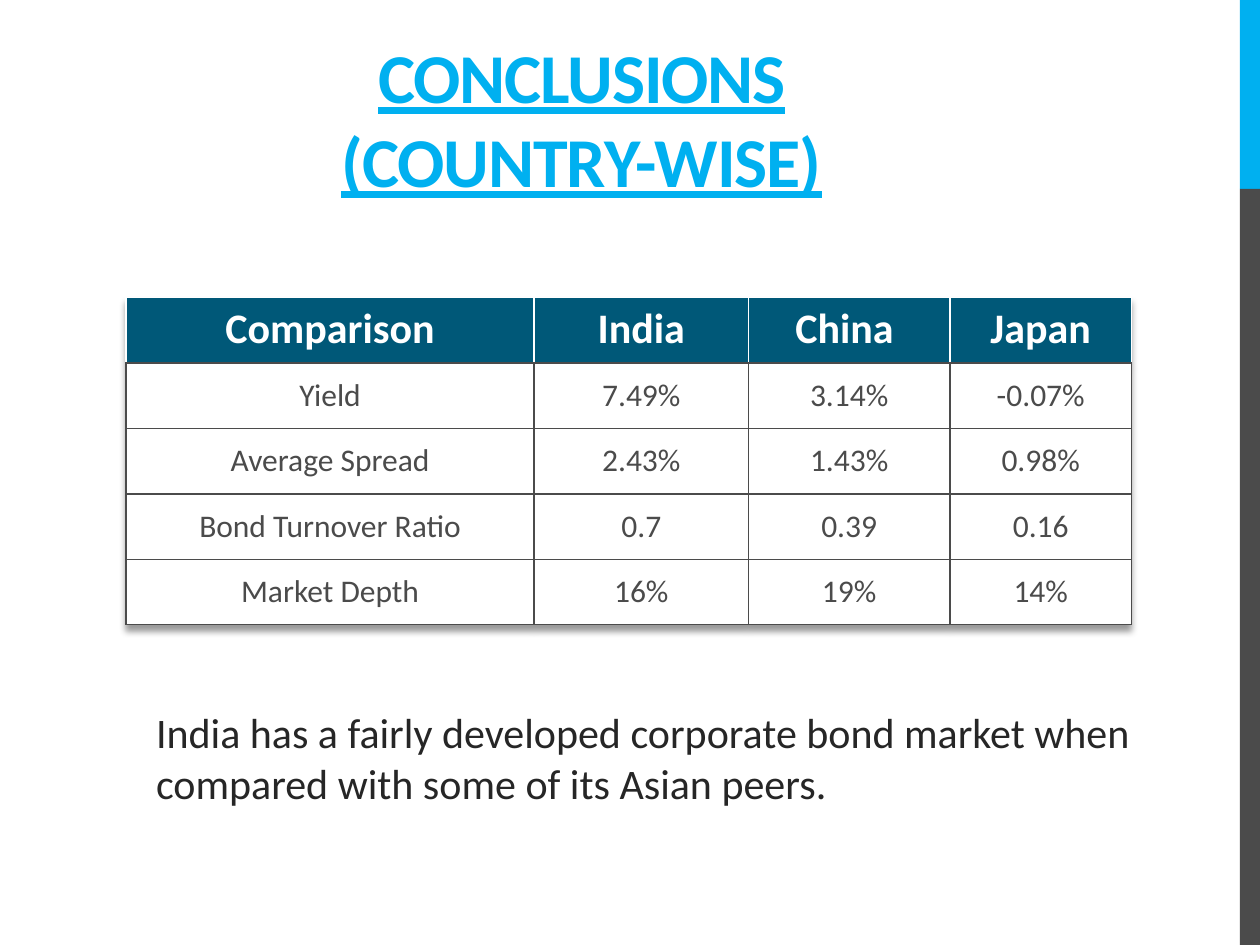
from pptx import Presentation
from pptx.dml.color import RGBColor
from pptx.enum.shapes import MSO_SHAPE as Shape
from pptx.enum.text import MSO_ANCHOR as Anchor, PP_ALIGN as Align
from pptx.oxml import parse_xml
from pptx.oxml.ns import nsdecls
from pptx.util import Inches, Pt

COLUMNS, ROWS = 100, 75
ACCENT, GRAY, NAVY, WHITE, INK = "00B0F0", "4B4B4B", "005878", "FFFFFF", "262626"


def color(value):
    return RGBColor.from_string(value)


class SlideBuilder:
    font = "Calibri"

    def __init__(self, deck):
        self.page = deck.slides.add_slide(deck.slide_layouts[6])
        self.column = deck.slide_width / COLUMNS
        self.row = deck.slide_height / ROWS

    def place(self, left, top, width, height):
        return (round(left * self.column), round(top * self.row),
                round(width * self.column), round(height * self.row))

    def style(self, para, size, tint, bold=False, align=Align.LEFT):
        para.alignment = align
        font = para.font
        font.name, font.size, font.bold = self.font, Pt(size), bold
        font.color.rgb = color(tint)

    def bar(self, area, tint):
        box = self.page.shapes.add_shape(Shape.RECTANGLE, *self.place(*area))
        box.shadow.inherit = False
        box.fill.solid()
        box.fill.fore_color.rgb = color(tint)
        box.line.fill.background()

    def text(self, area, words, size, tint, anchor=Anchor.TOP, **look):
        frame = self.page.shapes.add_textbox(*self.place(*area)).text_frame
        frame.word_wrap = True
        frame.vertical_anchor = anchor
        para = frame.paragraphs[0]
        para.text = words
        self.style(para, size, tint, **look)
        return para

    def title(self, area, words):
        para = self.text(area, words, 40, ACCENT, Anchor.BOTTOM, bold=True, align=Align.CENTER)
        para.font.underline = True
        para.runs[0].font._element.set("spc", "-60")

    def border(self, cell, sides, tint):
        properties = cell._tc.get_or_add_tcPr()
        for index, side in enumerate(sides):
            properties.insert(index, parse_xml(
                f'<a:ln{side} {nsdecls("a")} w="12700"><a:solidFill>'
                f'<a:srgbClr val="{tint}"/></a:solidFill></a:ln{side}>'))

    def table(self, area, widths, records):
        frame = self.page.shapes.add_table(len(records), len(widths), *self.place(*area))
        grid = frame.table
        for column, width in zip(grid.columns, widths):
            column.width = round(width * self.column)
        for index, record in enumerate(records):
            header = index == 0
            for position, words in enumerate(record):
                cell = grid.cell(index, position)
                cell.text = words
                cell.vertical_anchor = Anchor.TOP if header else Anchor.MIDDLE
                cell.fill.solid()
                cell.fill.fore_color.rgb = color(NAVY if header else WHITE)
                self.style(cell.text_frame.paragraphs[0], 24 if header else 18,
                           WHITE if header else GRAY, header, Align.CENTER)
                if header:
                    self.border(cell, "B", GRAY)
                    self.border(cell, "LRT", WHITE)
                else:
                    self.border(cell, "LRTB", GRAY)
        grid._tbl.tblPr.insert(0, parse_xml(
            f'<a:effectLst {nsdecls("a")}><a:outerShdw blurRad="50800" dist="38100" '
            'dir="5400000" algn="t" rotWithShape="0"><a:srgbClr val="000000">'
            '<a:alpha val="40000"/></a:srgbClr></a:outerShdw></a:effectLst>'))


def main():
    deck = Presentation()
    deck.slide_width, deck.slide_height = Inches(10), Inches(7.5)
    page = SlideBuilder(deck)
    page.bar((98.4, 0, 1.6, 15), ACCENT)
    page.bar((98.4, 15, 1.6, 60), GRAY)
    page.title((21.7, 1.3, 48.9, 15.2), "CONCLUSIONS (COUNTRY-WISE)")
    page.table((10, 23.6, 79.8, 26), (32.4, 17, 16, 14.4), (
        ("Comparison", "India", "China ", "Japan"),
        ("Yield", "7.49%", "3.14%", "-0.07%"),
        ("Average Spread", "2.43%", "1.43%", "0.98%"),
        ("Bond Turnover Ratio", "0.7", "0.39", "0.16"),
        ("Market Depth", "16%", "19%", "14%"),
    ))
    page.text((11.4, 55.6, 79.8, 9.1),
              "India has a fairly developed corporate bond market when "
              "compared with some of its Asian peers.", 24, INK)
    deck.save("out.pptx")


if __name__ == "__main__":
    main()
